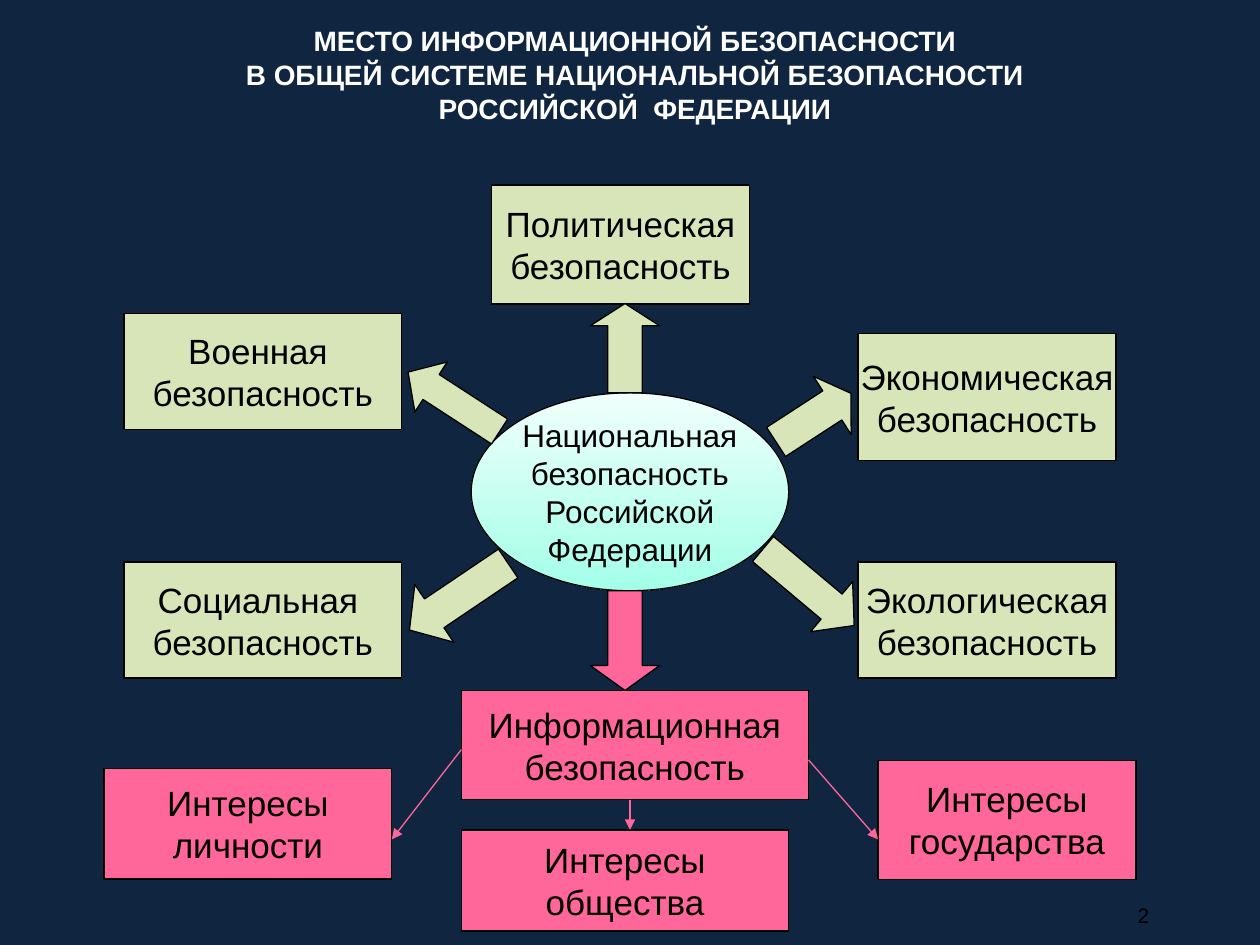
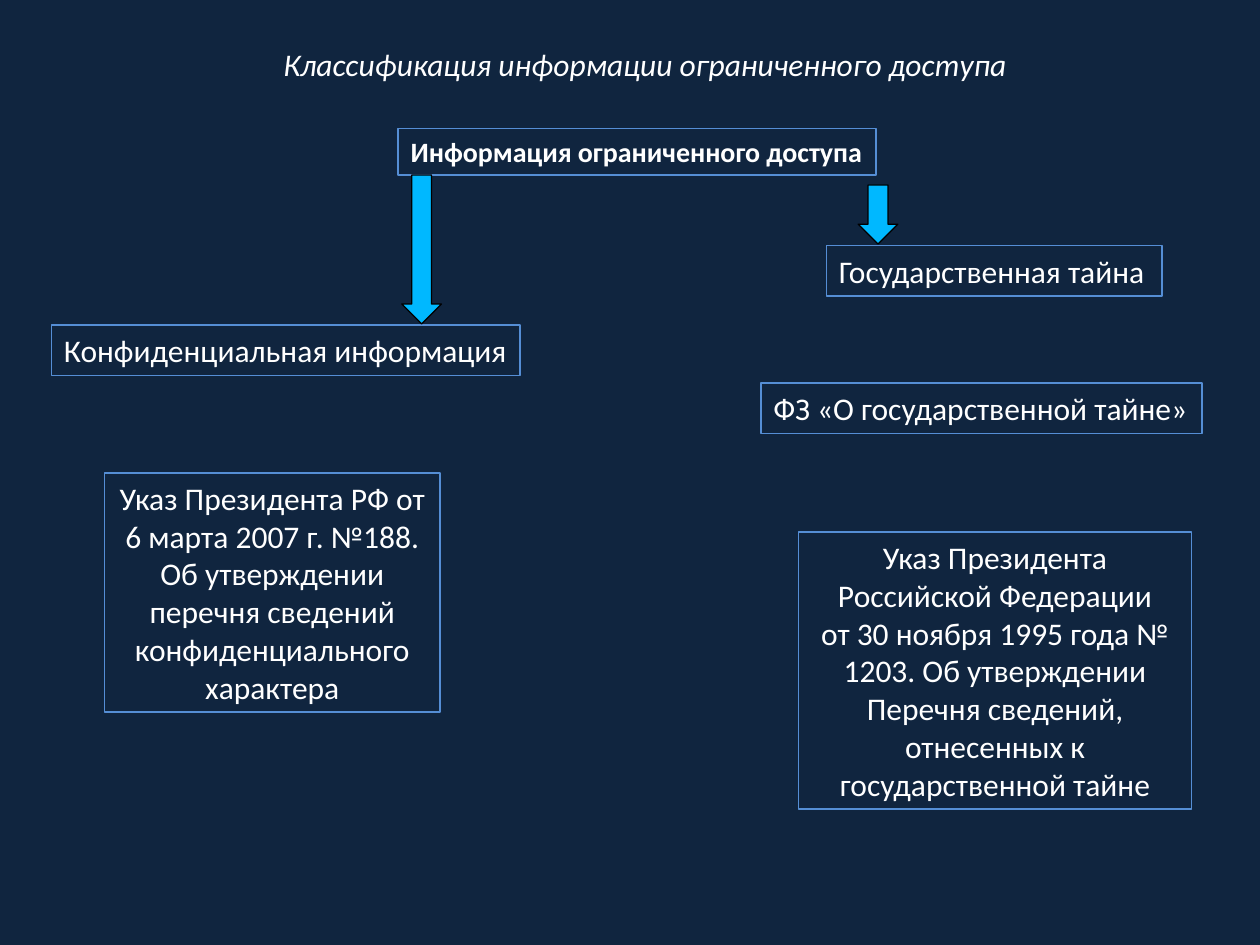
from dataclasses import dataclass

from lxml import etree
from pptx import Presentation
from pptx import util as u
from pptx.dml.color import RGBColor
from pptx.enum import shapes, text
from pptx.oxml.ns import qn


@dataclass(frozen=True)
class Theme:
    navy: str = "10253F"
    white: str = "FFFFFF"
    black: str = "000000"
    olive: str = "D7E5B9"
    pink: str = "FF6699"
    mint_top: str = "F0FFFB"
    mint_bottom: str = "A3FFE8"
    frame: str = "558ED5"
    cyan: str = "00B8FF"
    diagram_font: str = "Arial"
    scheme_font: str = "Calibri"
    small: int = 12
    heading: int = 16
    body: int = 18
    label: int = 20


T = Theme()
S = shapes.MSO_SHAPE
CENTER, LEFT = text.PP_ALIGN.CENTER, text.PP_ALIGN.LEFT
MIDDLE, TOP = text.MSO_ANCHOR.MIDDLE, text.MSO_ANCHOR.TOP


def write(sp, words, font, size, color, bold=False, italic=False,
          align=CENTER, anchor=MIDDLE, wrap=False):
    tf = sp.text_frame
    tf.text = words
    tf.auto_size = text.MSO_AUTO_SIZE.NONE
    tf.word_wrap = wrap
    tf.vertical_anchor = anchor
    for p in tf.paragraphs:
        p.alignment = align
        for r in p.runs:
            r.font.name, r.font.size = font, u.Pt(size)
            r.font.bold, r.font.italic = bold, italic
            r.font.color.rgb = RGBColor.from_string(color)


def draw(s, kind, place, fill=None, line=T.black, width=0.75):
    sp = s.shapes.add_shape(kind, *map(u.Cm, place))
    sp.shadow.inherit = False
    if fill:
        sp.fill.solid()
        sp.fill.fore_color.rgb = RGBColor.from_string(fill)
    else:
        sp.fill.background()
    sp.line.color.rgb = RGBColor.from_string(line)
    sp.line.width = u.Pt(width)
    return sp


prs = Presentation()
prs.slide_width, prs.slide_height = u.Cm(25.4), u.Cm(19.05)

# Shared background
bg = prs.slide_master.background.fill
bg.solid()
bg.fore_color.rgb = RGBColor.from_string(T.navy)

# Slides with their titles
titles = [
    ("МЕСТО ИНФОРМАЦИОННОЙ БЕЗОПАСНОСТИ\vВ ОБЩЕЙ СИСТЕМЕ НАЦИОНАЛЬНОЙ "
     "БЕЗОПАСНОСТИ\nРОССИЙСКОЙ  ФЕДЕРАЦИИ", (1.37, 0.1, 22.86, 2.8),
     dict(font=T.diagram_font, size=T.heading, bold=True)),
    ("Классификация информации ограниченного доступа", (5.36, 0.79, 15.29, 1.02),
     dict(font=T.scheme_font, size=T.body, italic=True, anchor=TOP)),
]
slides = []
for words, place, style in titles:
    s = prs.slides.add_slide(prs.slide_layouts[5])
    sp = s.shapes.title
    sp.left, sp.top, sp.width, sp.height = map(u.Cm, place)
    write(sp, words, color=T.white, wrap=True, **style)
    slides.append(s)
security, access = slides

# Security: centre of the diagram
sp = draw(security, S.OVAL, (9.5, 7.92, 6.4, 3.99))
sp.fill.gradient()
sp.fill.gradient_angle = 270
for stop, color in zip(sp.fill.gradient_stops, (T.mint_top, T.mint_bottom)):
    stop.color.rgb = RGBColor.from_string(color)
write(sp, "Национальная\nбезопасность\nРоссийской\nФедерации",
      T.diagram_font, T.body, T.black)

# Security: kinds of security and the interests served
boxes = [
    ("Политическая\nбезопасность", T.olive, (9.91, 3.73, 5.2, 2.4)),
    ("Военная \nбезопасность", T.olive, (2.5, 6.32, 5.6, 2.34)),
    ("Экономическая\nбезопасность", T.olive, (17.3, 6.73, 5.2, 2.55)),
    ("Социальная \nбезопасность", T.olive, (2.5, 11.33, 5.6, 2.34)),
    ("Экологическая\nбезопасность", T.olive, (17.3, 11.33, 5.2, 2.34)),
    ("Информационная\nбезопасность", T.pink, (9.3, 13.92, 7, 2.2)),
    ("Интересы\nличности", T.pink, (2.1, 15.5, 5.8, 2.22)),
    ("Интересы\nобщества", T.pink, (9.3, 16.73, 6.6, 2.04)),
    ("Интересы\nгосударства", T.pink, (17.7, 15.33, 5.2, 2.4)),
]
for words, fill, place in boxes:
    write(draw(security, S.RECTANGLE, place, fill), words,
          T.diagram_font, T.label, T.black)

# Security: block arrows from the centre
block_arrows = [
    (S.UP_ARROW, (11.9, 6.12, 1.4, 1.8), 0, 0.32, T.olive),
    (S.LEFT_ARROW, (8.05, 7.5, 2.2, 1.2), 33, 0.46, T.olive),
    (S.LEFT_ARROW, (8.05, 11.33, 2.4, 1.4), 326, 0.43, T.olive),
    (S.RIGHT_ARROW, (15.5, 7.72, 1.8, 1.4), 327, 0.32, T.olive),
    (S.RIGHT_ARROW, (15.1, 11.18, 2.4, 1.32), 40, 0.45, T.olive),
    (S.DOWN_ARROW, (11.9, 11.91, 1.4, 2.01), 0, 0.36, T.pink),
]
for kind, place, angle, head, fill in block_arrows:
    sp = draw(security, kind, place, fill)
    sp.rotation = angle
    sp.adjustments[1] = head

# Security: thin arrows to the interests
for ends in [(9.3, 15.11, 7.9, 16.92), (12.7, 16.12, 12.7, 16.73),
             (16.3, 15.32, 17.7, 16.92)]:
    arrow = security.shapes.add_connector(shapes.MSO_CONNECTOR.STRAIGHT,
                                          *map(u.Cm, ends))
    arrow.line.color.rgb = RGBColor.from_string(T.pink)
    arrow.line.width = u.Pt(0.75)
    etree.SubElement(arrow.line._get_or_add_ln(), qn("a:tailEnd"), type="triangle")
    etree.SubElement(arrow._element.spPr, qn("a:effectLst"))

# Security: slide number
sp = security.shapes.add_textbox(*map(u.Cm, (22.1, 18.05, 1.9, 0.8)))
write(sp, "2", T.diagram_font, T.small, T.black)

# Access: framed one-line boxes, then wrapped decrees
lines = [
    ("Государственная тайна", (16.66, 4.95, 6.76, 1.02), T.body),
    ("Конфиденциальная информация", (1.04, 6.55, 9.45, 1.02), T.body),
    ("ФЗ «О государственной тайне»", (15.34, 7.72, 8.89, 1.02), T.body),
    ("Информация ограниченного доступа", (8.03, 2.59, 9.63, 0.94), T.heading),
]
for words, place, size in lines:
    write(draw(access, S.RECTANGLE, place, line=T.frame, width=1), words,
          T.scheme_font, size, T.white, bold=size == T.heading,
          align=LEFT, anchor=TOP)

decrees = [
    ("Указ Президента РФ от 6 марта 2007 г. №188. Об утверждении перечня "
     "сведений конфиденциального характера", (2.11, 9.53, 6.76, 4.83)),
    ("Указ Президента Российской Федерации\nот 30 ноября 1995 года № 1203. "
     "Об утверждении Перечня сведений, отнесенных к государственной тайне",
     (16.1, 10.72, 7.92, 5.59)),
]
for words, place in decrees:
    write(draw(access, S.RECTANGLE, place, line=T.frame, width=1), words,
          T.scheme_font, T.body, T.white, anchor=TOP, wrap=True)

# Access: block arrows
for place in [(8.1, 3.53, 0.8, 3), (17.3, 3.73, 0.8, 1.19)]:
    draw(access, S.DOWN_ARROW, place, T.cyan)

prs.save("out.pptx")
